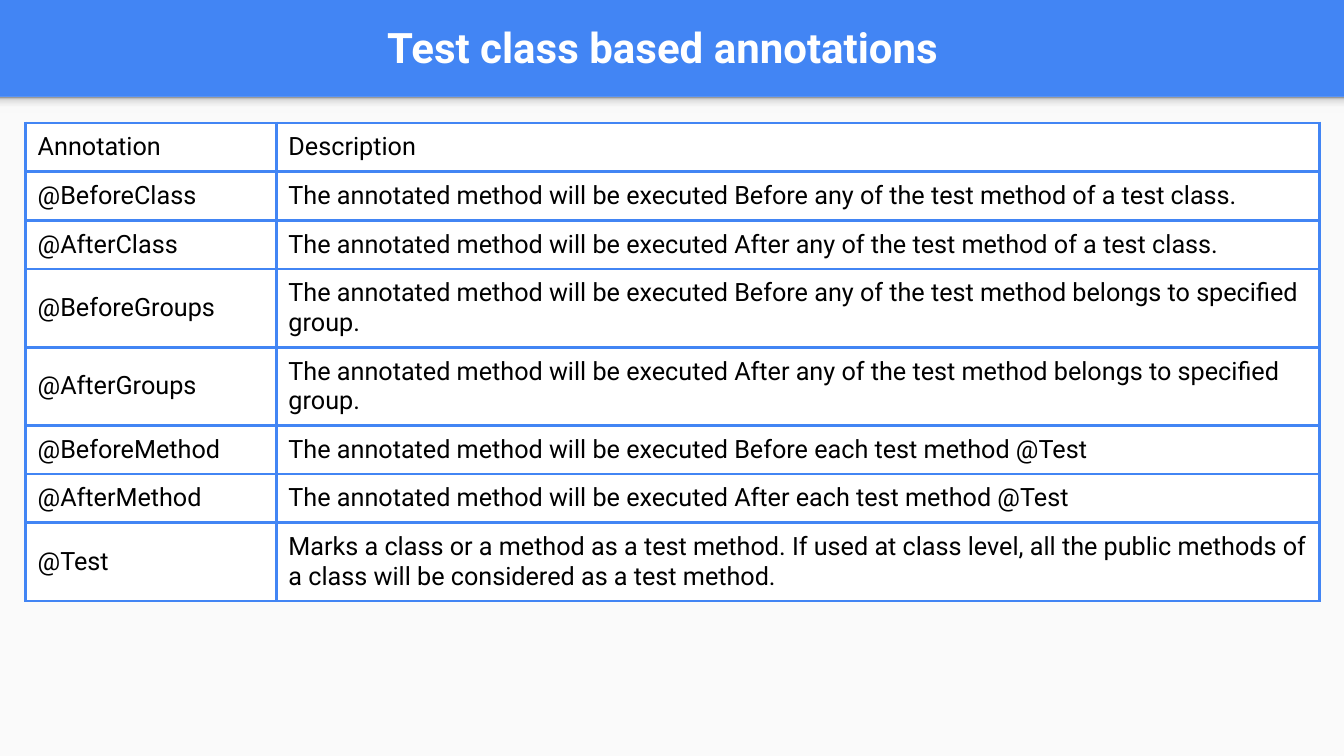
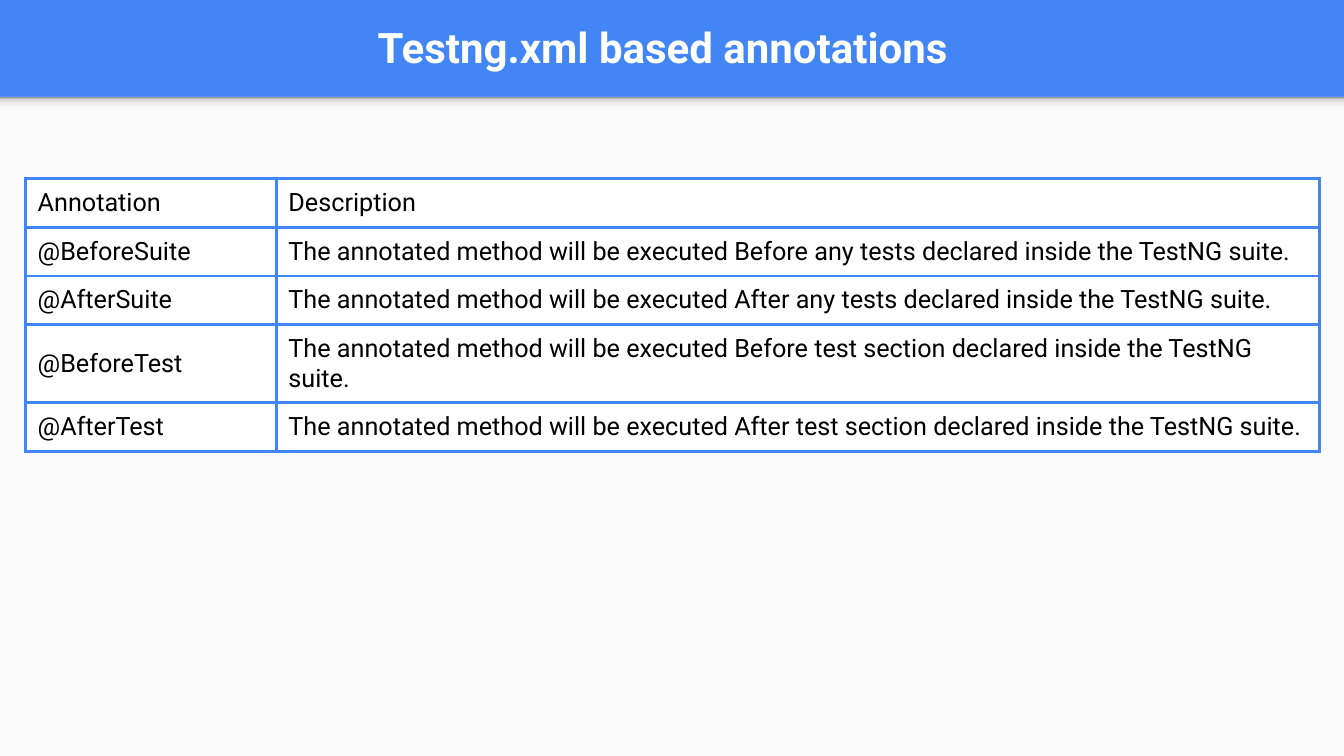
import pptx
import pptx.util
import pptx.dml.color
import pptx.enum.shapes
import pptx.enum.text
import pptx.oxml
import pptx.oxml.ns
from lxml import etree

Cm, Pt = pptx.util.Cm, pptx.util.Pt
MIDDLE = pptx.enum.text.MSO_ANCHOR.MIDDLE

FONT = "Roboto"
COLORS = {
    "brand": "4285F4",
    "paper": "FAFAFA",
    "white": "FFFFFF",
    "ink": "000000",
}
SHADE_STOPS = [(0, "F9F9F9"), (36, "F9F9F9"), (80, "DEDEDE"), (100, "999999")]

# Boxes in centimetres: left, top, width, height
SLIDE_W, SLIDE_H = 33.87, 19.05
BAND_H = 2.44
TITLE_BOX = (0.36, 0.05, 32.69, 2.24)
PAPER_BOX = (0, BAND_H, SLIDE_W, SLIDE_H - BAND_H)
SHADE_BOX = (0, BAND_H, SLIDE_W, 0.41)

TABLE_LEFT = 0.64
COLUMNS = (6.32, 26.29)
ROW_H = 1.22
HEADINGS = ("Annotation", "Description")
EXECUTED = "The annotated method will be executed "

CLASS_ROWS = [
    ("@BeforeClass", EXECUTED + "Before any of the test method of a test class."),
    ("@AfterClass", EXECUTED + "After any of the test method of a test class."),
    ("@BeforeGroups", EXECUTED + "Before any of the test method belongs to specified group."),
    ("@AfterGroups", EXECUTED + "After any of the test method belongs to specified group."),
    ("@BeforeMethod", EXECUTED + "Before each test method @Test"),
    ("@AfterMethod", EXECUTED + "After each test method @Test"),
    ("@Test", "Marks a class or a method as a test method. If used at class level, "
              "all the public methods of a class will be considered as a test method."),
]
SUITE_ROWS = [
    ("@BeforeSuite", EXECUTED + "Before any tests declared inside the TestNG suite."),
    ("@AfterSuite", EXECUTED + "After any tests declared inside the TestNG suite."),
    ("@BeforeTest", EXECUTED + "Before test section declared inside the TestNG suite."),
    ("@AfterTest", EXECUTED + "After test section declared inside the TestNG suite."),
]


def rgb(name):
    return pptx.dml.color.RGBColor.from_string(COLORS[name])


def add_sub(parent, tag, **attributes):
    return etree.SubElement(parent, pptx.oxml.ns.qn(tag), **attributes)


def add_run(paragraph, text, size, color, bold=False):
    run = paragraph.add_run()
    run.text = text
    run.font.name = FONT
    run.font.size = Pt(size)
    run.font.bold = bold
    run.font.color.rgb = rgb(color)


def add_panel(slide, box):
    panel = slide.shapes.add_shape(
        pptx.enum.shapes.MSO_SHAPE.RECTANGLE, *map(Cm, box))
    panel.shadow.inherit = False
    panel.line.fill.background()
    return panel


def fill_shade(shade):
    """Fade upwards from the paper colour to the dark edge under the band."""
    shade.fill.gradient()
    shade.fill.gradient_angle = 90
    stops = shade._element.spPr.find(".//" + pptx.oxml.ns.qn("a:gsLst"))
    for stop in list(stops):
        stops.remove(stop)
    for percent, color in SHADE_STOPS:
        stop = add_sub(stops, "a:gs", pos=str(percent * 1000))
        add_sub(stop, "a:srgbClr", val=color)


def style_layout(layout, slide):
    """Give the layout its band, paper and shade, drawn first on a slide."""
    layout.background.fill.solid()
    layout.background.fill.fore_color.rgb = rgb("brand")
    paper = add_panel(slide, PAPER_BOX)
    paper.fill.solid()
    paper.fill.fore_color.rgb = rgb("paper")
    shade = add_panel(slide, SHADE_BOX)
    fill_shade(shade)
    tree = layout.shapes._spTree
    for depth, panel in enumerate((paper, shade)):
        panel._element.nvSpPr.cNvPr.set("id", str(100 + depth))
        tree.insert(2 + depth, panel._element)


def set_title(slide, text, box):
    title = slide.shapes.title
    title.left, title.top, title.width, title.height = map(Cm, box)
    frame = title.text_frame
    frame.vertical_anchor = MIDDLE
    frame.word_wrap = True
    frame.margin_left = frame.margin_right = Cm(0.25)
    frame.margin_top = frame.margin_bottom = Cm(0.25)
    heading = frame.paragraphs[0]
    heading.alignment = pptx.enum.text.PP_ALIGN.CENTER
    add_run(heading, text, 30, "white", bold=True)


def set_cell(cell, text):
    cell.vertical_anchor = MIDDLE
    cell.margin_left = cell.margin_right = Cm(0.31)
    cell.margin_top = cell.margin_bottom = Cm(0.24)
    add_run(cell.text_frame.paragraphs[0], text, 18, "ink")
    # Borders come before the fill in the cell properties
    properties = cell._tc.get_or_add_tcPr()
    for side in ("a:lnL", "a:lnR", "a:lnT", "a:lnB"):
        border = add_sub(properties, side, w=str(Pt(2.25)))
        add_sub(add_sub(border, "a:solidFill"), "a:srgbClr", val=COLORS["brand"])
    cell.fill.solid()
    cell.fill.fore_color.rgb = rgb("white")


def add_annotations(slide, rows, left, top):
    rows = [HEADINGS, *rows]
    annotations = slide.shapes.add_table(
        len(rows), len(COLUMNS), Cm(left), Cm(top),
        Cm(sum(COLUMNS)), Cm(ROW_H * len(rows))).table
    annotations.first_row = False
    annotations.horz_banding = False
    for column, width in zip(annotations.columns, COLUMNS):
        column.width = Cm(width)
    for row, texts in zip(annotations.rows, rows):
        row.height = Cm(ROW_H)
        for cell, text in zip(row.cells, texts):
            set_cell(cell, text)


def build_slide(slide, title, rows, table_top):
    set_title(slide, title, TITLE_BOX)
    add_annotations(slide, rows, TABLE_LEFT, table_top)


deck = pptx.Presentation()
deck.slide_width, deck.slide_height = Cm(SLIDE_W), Cm(SLIDE_H)
title_only = deck.slide_layouts[5]
class_slide = deck.slides.add_slide(title_only)
suite_slide = deck.slides.add_slide(title_only)

style_layout(title_only, class_slide)
build_slide(class_slide, "Test class based annotations", CLASS_ROWS, 3.1)
build_slide(suite_slide, "Testng.xml based annotations", SUITE_ROWS, 4.5)

deck.save("out.pptx")
